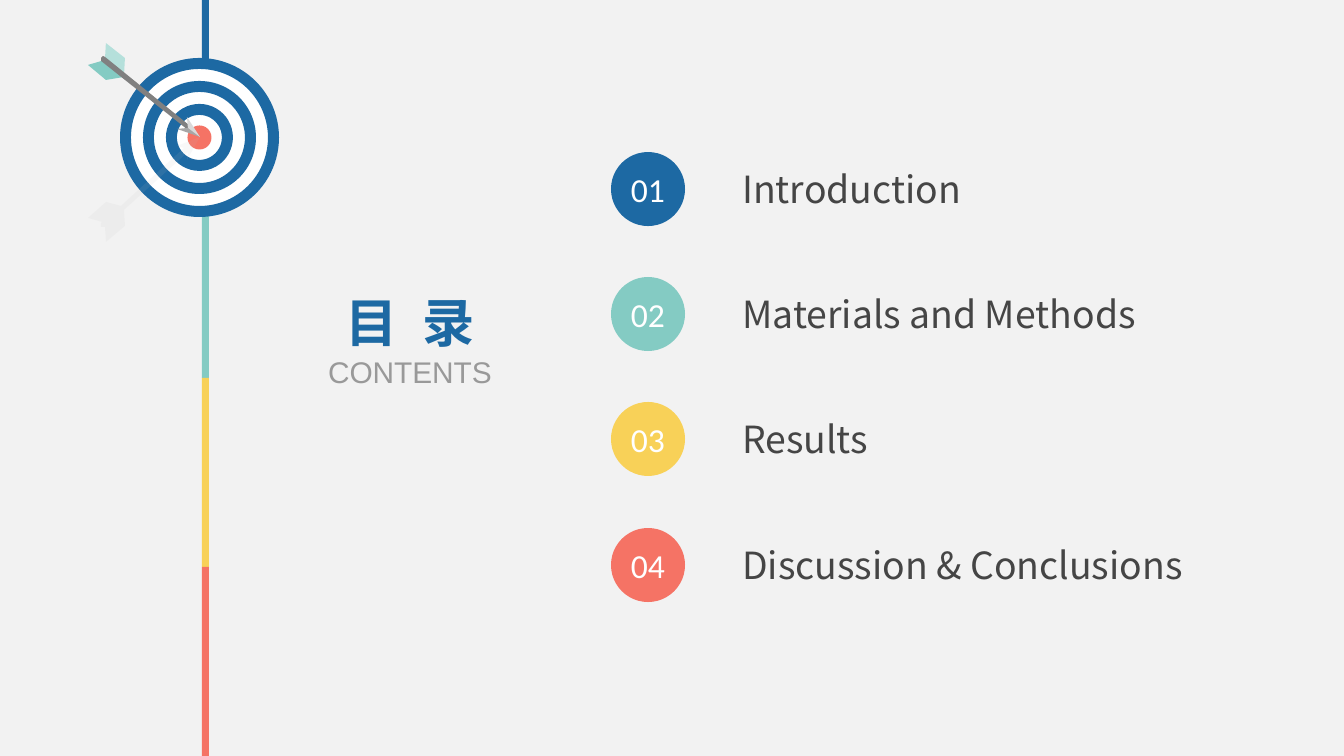
"""Build a contents slide with a target, a coloured stem and four numbered topics."""
from lxml import etree
from pptx import Presentation
from pptx.dml.color import RGBColor
from pptx.enum.shapes import MSO_SHAPE
from pptx.enum.text import MSO_ANCHOR, PP_ALIGN
from pptx.oxml.ns import qn
from pptx.util import Pt

PX = 914400 / 134.4
BLUE, TEAL, GOLD, RED = hues = ["1D69A3", "84CBC3", "F8D158", "F57365"]


def paint(shape, hue):
    shape.shadow.inherit = False
    shape.fill.solid()
    shape.fill.fore_color.rgb = RGBColor.from_string(hue)
    shape.line.fill.background()
    return shape


def write(para, text, size, face, hue, align=PP_ALIGN.LEFT):
    run = para.add_run()
    run.text = text
    para.alignment = align
    para.font.size = Pt(size)
    para.font.name = face
    para.font.color.rgb = RGBColor.from_string(hue)
    return run


deck = Presentation()
deck.slide_width, deck.slide_height = round(1344 * PX), round(756 * PX)
slide = deck.slides.add_slide(deck.slide_layouts[6])
slide.background.fill.solid()
slide.background.fill.fore_color.rgb = RGBColor.from_string("F2F2F2")
shapes = slide.shapes

for i, hue in enumerate(hues):
    box = [round(n * PX) for n in (202, i * 189, 7, 189)]
    paint(shapes.add_shape(MSO_SHAPE.RECTANGLE, *box), hue)

box = [round(n * PX) for n in (301, 284, 218, 113)]
frame = shapes.add_textbox(*box).text_frame
frame.word_wrap = True
title = frame.paragraphs[0]
run = write(title, "目 录", 28, "Arial Narrow", BLUE, PP_ALIGN.CENTER)
title.font.bold = True
run._r.get_or_add_rPr().set("spc", "350")
write(frame.add_paragraph(), "CONTENTS", 16, "Arial", "999999", PP_ALIGN.CENTER)

rings = [
    (MSO_SHAPE.OVAL, 157, "FFFFFF"),
    (MSO_SHAPE.OVAL, 24, RED),
    (MSO_SHAPE.DONUT, 159, BLUE),
    (MSO_SHAPE.DONUT, 113, BLUE),
    (MSO_SHAPE.DONUT, 67, BLUE),
]
for kind, size, hue in rings:
    box = [round(n * PX) for n in (199.5 - size / 2, 137.5 - size / 2, size, size)]
    ring = paint(shapes.add_shape(kind, *box), hue)
    if kind == MSO_SHAPE.DONUT:
        ring.adjustments[0] = 11 / size

parts = [
    (TEAL, [(124, 77), (106, 80), (88, 65), (105, 60)]),
    ("B5E0DB", [(124, 77), (125, 58), (106, 43), (105, 60)]),
    ("808080", [(193, 134), (101, 61), (101, 58), (103, 56), (105, 57),
                (195, 130), (196, 132), (195, 134)]),
    ("A6A6A6", [(177, 129), (200, 137), (188, 128)]),
    ("D9D9D9", [(188, 128), (200, 137), (187, 117)]),
    ("BFBFBF", [(200, 137), (187, 160), (188, 152), (124, 210), (125, 226),
                (106, 242), (105, 227), (101, 227), (101, 223), (102, 222),
                (88, 218), (106, 202), (121, 206), (184, 148), (177, 146)]),
]
for hue, dots in parts:
    path = shapes.build_freeform(*dots[0], scale=PX)
    path.add_line_segments(dots[1:], close=True)
    part = paint(path.convert_to_shape(), hue)
shade = part.fill._xPr.find(qn("a:solidFill"))[0]
etree.SubElement(shade, qn("a:alpha")).set("val", "10000")

topics = [
    ("Introduction", 332),
    ("Materials and Methods", 461),
    ("Results", 332),
    ("Discussion & Conclusions", 515),
]
for i, (topic, width) in enumerate(topics):
    top = 152 + i * 376 // 3
    box = [round(n * PX) for n in (611, top, 74, 74)]
    disc = paint(shapes.add_shape(MSO_SHAPE.OVAL, *box), hues[i])
    frame = disc.text_frame
    frame.margin_left = frame.margin_right = frame.margin_top = frame.margin_bottom = 0
    frame.vertical_anchor = MSO_ANCHOR.MIDDLE
    write(frame.paragraphs[0], f"{i + 1:02}", 18, "Calibri", "FFFFFF", PP_ALIGN.CENTER)
    box = [round(n * PX) for n in (729, top + 8, width, 59)]
    frame = shapes.add_textbox(*box).text_frame
    frame.word_wrap = True
    write(frame.paragraphs[0], topic, 20, "Noto Sans CJK SC", "454545")

deck.save("out.pptx")
